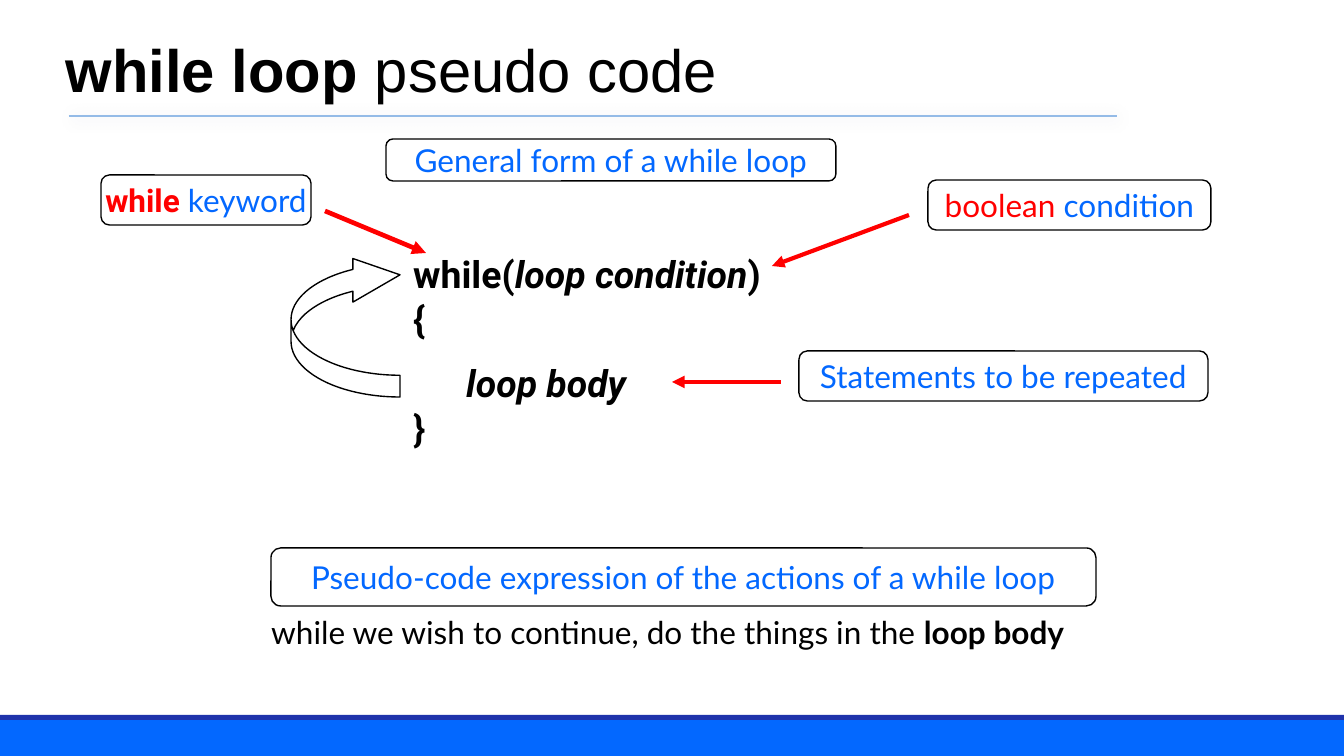
from lxml import etree
from pptx import Presentation
from pptx.dml.color import RGBColor
from pptx.enum.shapes import MSO_CONNECTOR, MSO_SHAPE
from pptx.enum.text import MSO_ANCHOR, PP_ALIGN
from pptx.oxml.ns import qn
from pptx.util import Pt

RECT = MSO_SHAPE.RECTANGLE
ROUNDED = MSO_SHAPE.ROUNDED_RECTANGLE
CURVED_ARROW = MSO_SHAPE.CURVED_LEFT_ARROW
STRAIGHT = MSO_CONNECTOR.STRAIGHT
LEFT, CENTER = PP_ALIGN.LEFT, PP_ALIGN.CENTER
TOP, MIDDLE, BOTTOM = MSO_ANCHOR.TOP, MSO_ANCHOR.MIDDLE, MSO_ANCHOR.BOTTOM

WIDTH, HEIGHT = 1344, 756
SCALE = 9144000 / WIDTH
LABEL_SIZE = 16.9
COLORS = {
    "black": "000000",
    "red": "FF0000",
    "blue": "0368FF",
    "navy": "1F33AB",
    "rule": "94BBE7",
    "shadow": "003D62",
}


def px(n):
    return round(n * SCALE)


def color(name):
    return RGBColor.from_string(COLORS[name])


def add_runs(p, runs, size):
    for text, font, name, bold, italic in runs:
        r = p.add_run()
        r.text = text
        r.font.name = font
        r.font.size = Pt(size)
        r.font.bold = bold
        r.font.italic = italic
        r.font.color.rgb = color(name)


def add_text(s, x, y, w, h, runs, size, anchor=TOP, inset=None):
    tb = s.shapes.add_textbox(px(x), px(y), px(w), px(h))
    tf = tb.text_frame
    tf.word_wrap = True
    tf.vertical_anchor = anchor
    if inset is not None:
        tf.margin_left = tf.margin_right = px(inset)
        tf.margin_top = tf.margin_bottom = px(inset)
    p = tf.paragraphs[0]
    p.alignment = LEFT
    add_runs(p, runs, size)
    return tf


def add_outline(s, kind, x, y, w, h):
    sp = s.shapes.add_shape(kind, px(x), px(y), px(w), px(h))
    sp.shadow.inherit = False
    sp.fill.background()
    sp.line.color.rgb = color("black")
    sp.line.width = Pt(0.75)
    return sp


def add_label(s, x, y, w, h, runs, wrap=False):
    sp = add_outline(s, ROUNDED, x, y, w, h)
    tf = sp.text_frame
    tf.word_wrap = wrap
    tf.vertical_anchor = MIDDLE
    p = tf.paragraphs[0]
    p.alignment = CENTER
    add_runs(p, runs, LABEL_SIZE)


def add_line(s, x1, y1, x2, y2, name, width):
    line = s.shapes.add_connector(STRAIGHT, px(x1), px(y1), px(x2), px(y2))
    line.line.color.rgb = color(name)
    line.line.width = Pt(width)
    effects = etree.SubElement(line._element.spPr, qn("a:effectLst"))
    return line, effects


def add_arrow(s, x1, y1, x2, y2, width=2.25):
    line, _ = add_line(s, x1, y1, x2, y2, "red", width)
    ln = line.line._get_or_add_ln()
    etree.SubElement(ln, qn("a:tailEnd"), type="triangle")


def footer_bar(s, x, y, w, h):
    stripe = 5
    for top, height, name in ((y + stripe, h - stripe, "blue"), (y, stripe, "navy")):
        sp = s.shapes.add_shape(RECT, px(x), px(top), px(w), px(height))
        sp.shadow.inherit = False
        sp.fill.solid()
        sp.fill.fore_color.rgb = color(name)
        sp.line.fill.background()


def header(s, x, y, w, h):
    _, effects = add_line(s, x + 11, y + h, x + 1059, y + h, "rule", 1)
    shadow = etree.SubElement(
        effects, qn("a:outerShdw"), blurRad=str(Pt(8)), dist=str(Pt(1)), dir="2700000"
    )
    tint = etree.SubElement(shadow, qn("a:srgbClr"), val=COLORS["shadow"])
    etree.SubElement(tint, qn("a:alpha"), val="20000")
    runs = [
        ("while loop ", "Arial", "black", True, False),
        ("pseudo code", "Arial", "black", False, False),
    ]
    add_text(s, x, y, w, h - 4, runs, 32, BOTTOM, 8)


def loop_code(s, x, y, w, h):
    first = [
        ("while(", "Roboto", "black", True, False),
        ("loop condition", "Roboto", "black", True, True),
        (") {", "Roboto", "black", True, False),
    ]
    tf = add_text(s, x, y, w, h, first, 20)
    p = tf.add_paragraph()
    p.alignment = LEFT
    p.space_before = Pt(10)
    p._p.get_or_add_pPr().set("indent", str(px(53)))
    add_runs(p, [("loop body", "Roboto", "black", True, True)], 20)
    p.add_line_break()
    add_runs(p, [("}", "Roboto", "black", True, False)], 20)


def loop_diagram(s, x, y):
    loop_code(s, x + 299, y + 106, 392, 218)
    add_label(s, x + 285, y, 450, 42, [
        ("General form of a while loop", "Lato", "blue", False, False),
    ])
    add_label(s, x, y + 36, 210, 50, [
        ("while ", "Roboto", "red", True, False),
        ("keyword", "Lato", "blue", False, False),
    ])
    add_label(s, x + 827, y + 41, 283, 50, [
        ("boolean", "Lato", "red", False, False),
        (" condition", "Lato", "blue", False, False),
    ])
    add_label(s, x + 698, y + 212, 409, 50, [
        ("Statements to be repeated", "Lato", "blue", False, False),
    ])
    add_arrow(s, x + 224, y + 72, x + 325, y + 114, 2.5)
    add_arrow(s, x + 808, y + 76, x + 671, y + 127)
    add_arrow(s, x + 680, y + 243, x + 571, y + 243)
    arrow = add_outline(s, CURVED_ARROW, x + 190, y + 114, 109, 144)
    arrow.rotation = 180
    for i, value in enumerate((0.2, 0.4, 0.433)):
        arrow.adjustments[i] = value


def summary(s, x, y, w, h):
    title = "Pseudo-code expression of the actions of a while loop"
    add_label(s, x + 13, y, w - 27, h, [(title, "Lato", "blue", False, False)], True)
    runs = [
        ("while we wish to continue, do the things in the ", "Lato", "black", False, False),
        ("loop body", "Lato", "black", True, False),
    ]
    add_text(s, x, y + h, w, 52, runs, LABEL_SIZE)


def main():
    prs = Presentation()
    prs.slide_width, prs.slide_height = px(WIDTH), px(HEIGHT)
    s = prs.slides.add_slide(prs.slide_layouts[6])
    footer_bar(s, 0, 715, WIDTH, HEIGHT - 715)
    header(s, 58, 0, 1142, 116)
    loop_diagram(s, 101, 139)
    summary(s, 258, 548, 852, 58)
    prs.save("out.pptx")


if __name__ == "__main__":
    main()
